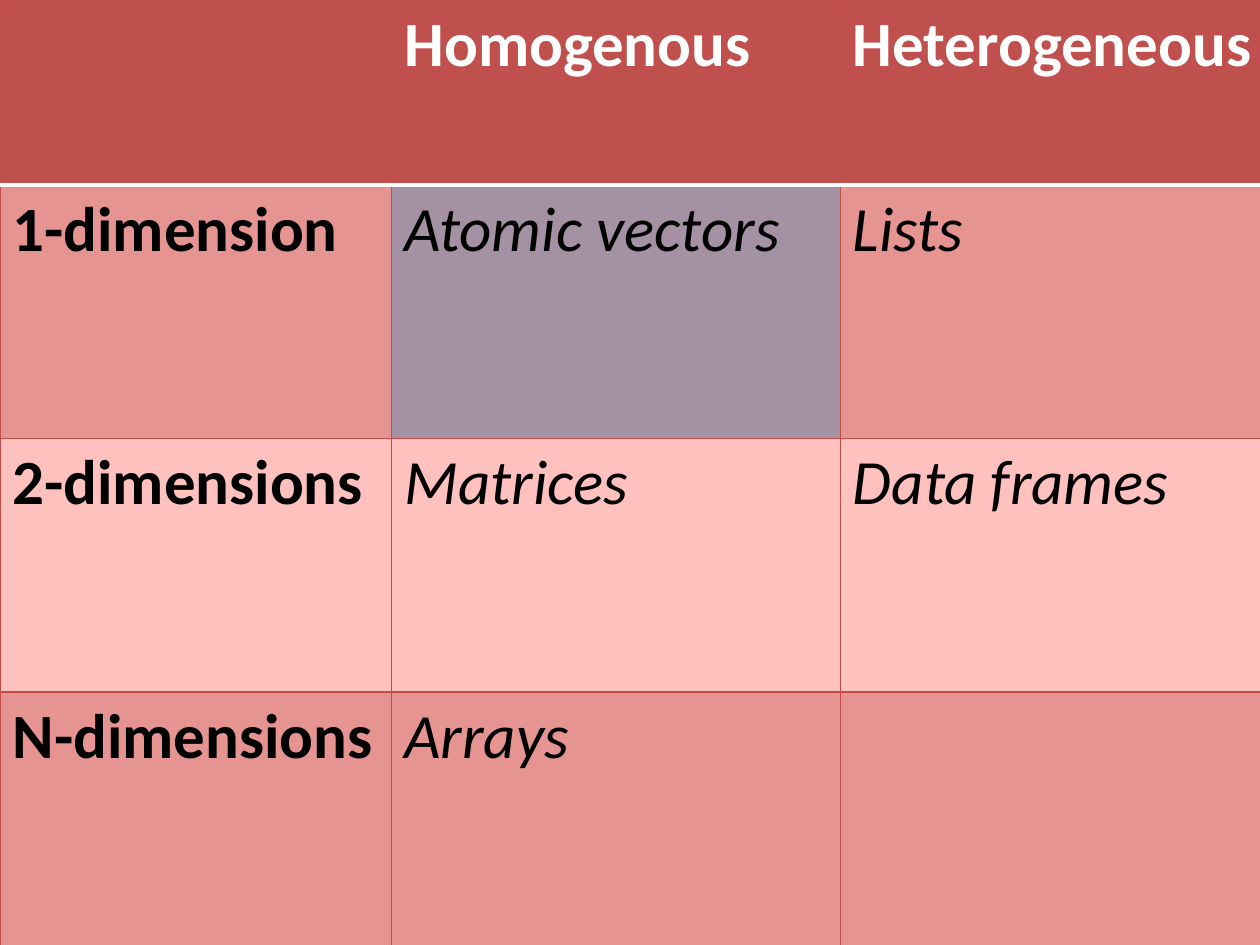
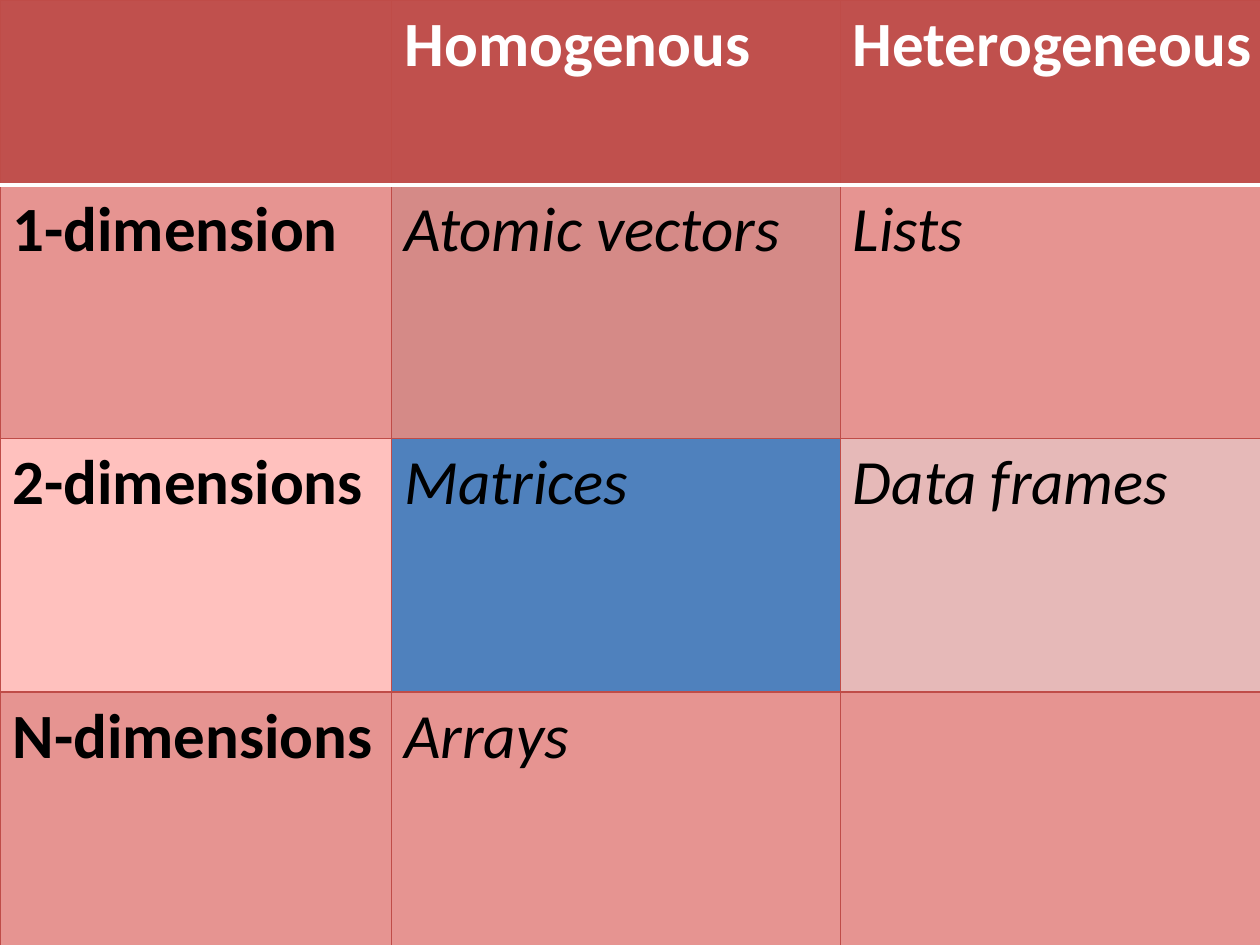
from lxml import etree
from pptx import Presentation
from pptx.dml.color import RGBColor
from pptx.oxml.ns import qn
from pptx.util import Cm, Pt

# Shared look
BLACK = RGBColor(0x00, 0x00, 0x00)
WHITE = RGBColor(0xFF, 0xFF, 0xFF)
HEADER_RED = RGBColor(0xC0, 0x50, 0x4D)
GRID_RED = RGBColor(0xBF, 0x4C, 0x48)
BAND_ROSE = RGBColor(0xE6, 0x94, 0x91)
BAND_PINK = RGBColor(0xFF, 0xC1, 0xBE)
MAUVE = RGBColor(0xA5, 0x91, 0xA4)
DUSKY_ROSE = RGBColor(0xD5, 0x8A, 0x87)
BLUE = RGBColor(0x4F, 0x81, 0xBD)
PALE_ROSE = RGBColor(0xE6, 0xB9, 0xB8)
FONT = "Calibri"

# Shared content: R data structures by dimension and homogeneity
STRUCTURES = [
    ["", "Homogenous", "Heterogeneous"],
    ["1-dimension", "Atomic vectors", "Lists"],
    ["2-dimensions", "Matrices", "Data frames"],
    ["N-dimensions", "Arrays", ""],
]
ROW_FILLS = [HEADER_RED, BAND_ROSE, BAND_PINK, BAND_ROSE]
COLUMN_WIDTHS = [Cm(7.9), Cm(9.04), Cm(8.76)]
ROW_HEIGHTS = [Cm(3.73), Cm(5.11), Cm(5.11), Cm(5.11)]

# Highlighted cells of each slide, by (row, column)
HIGHLIGHTS = [
    {(1, 1): MAUVE},
    {(1, 1): DUSKY_ROSE, (2, 1): BLUE, (2, 2): PALE_ROSE},
]


def add_border(cell, side, color, width):
    properties = cell._tc.get_or_add_tcPr()
    line = etree.SubElement(properties, qn(f"a:ln{side}"), w=str(width))
    solid = etree.SubElement(line, qn("a:solidFill"))
    etree.SubElement(solid, qn("a:srgbClr"), val=str(color))


prs = Presentation()
prs.slide_width = Cm(25.4)
prs.slide_height = Cm(19.05)

for highlights in HIGHLIGHTS:
    slide = prs.slides.add_slide(prs.slide_layouts[6])
    slide.background.fill.solid()
    slide.background.fill.fore_color.rgb = BLACK

    # Table grid
    table = slide.shapes.add_table(
        len(ROW_HEIGHTS), len(COLUMN_WIDTHS), 0, 0,
        sum(COLUMN_WIDTHS), sum(ROW_HEIGHTS)).table
    table.horz_banding = False
    for column, width in zip(table.columns, COLUMN_WIDTHS):
        column.width = width
    for row, height in zip(table.rows, ROW_HEIGHTS):
        row.height = height

    # Cells
    for r, labels in enumerate(STRUCTURES):
        for c, label in enumerate(labels):
            cell = table.cell(r, c)

            # Borders, with a white rule under the header row
            for side in "LRTB":
                if (r, side) in [(0, "B"), (1, "T")]:
                    add_border(cell, side, WHITE, Pt(2))
                else:
                    add_border(cell, side, GRID_RED, Pt(0.75))

            cell.fill.solid()
            cell.fill.fore_color.rgb = highlights.get((r, c), ROW_FILLS[r])

            # Bold headings, italic structure names
            is_heading = r == 0 or c == 0
            cell.text = label
            font = cell.text_frame.paragraphs[0].font
            font.name = FONT
            font.size = Pt(36)
            font.bold = is_heading
            font.italic = not is_heading
            font.color.rgb = WHITE if r == 0 else BLACK

prs.save("out.pptx")
